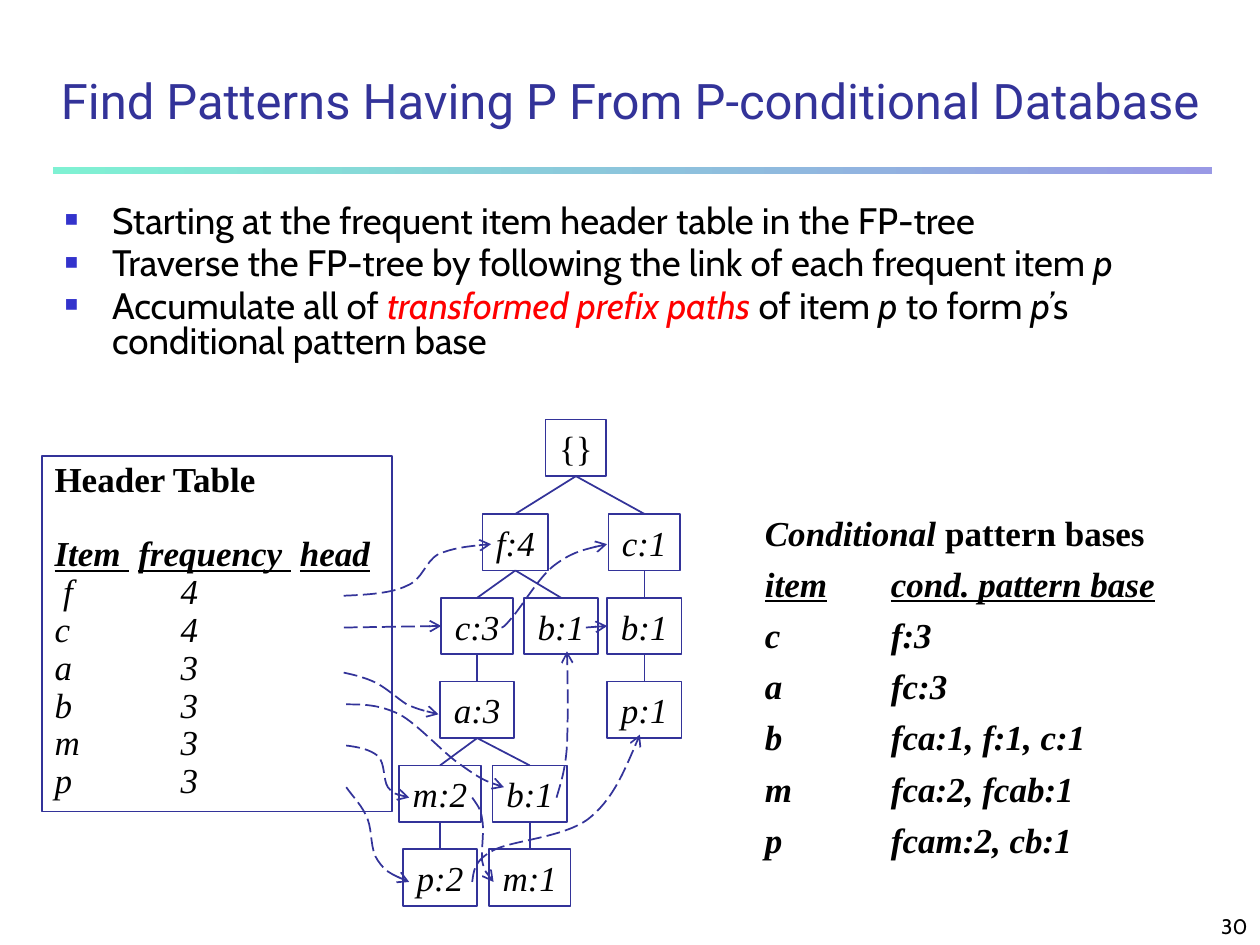
from lxml import etree
from pptx import Presentation
from pptx.dml.color import RGBColor
from pptx.enum.dml import MSO_LINE
from pptx.enum.shapes import MSO_CONNECTOR, MSO_SHAPE
from pptx.enum.text import MSO_ANCHOR, PP_ALIGN
from pptx.oxml.ns import qn
from pptx.util import Cm, Pt

RECT = MSO_SHAPE.RECTANGLE
LINE = MSO_CONNECTOR.STRAIGHT
DASH = MSO_LINE.LONG_DASH
TOP, MID, LOW = MSO_ANCHOR.TOP, MSO_ANCHOR.MIDDLE, MSO_ANCHOR.BOTTOM
LEFT, CENTER, RIGHT = PP_ALIGN.LEFT, PP_ALIGN.CENTER, PP_ALIGN.RIGHT
NAVY, BLACK, RED = "333399", "000000", "FF0000"
SERIF = "Times New Roman"

WIDTHS = {"{": 1.22, "f": 1.32, "c": 1.45, "a": 1.5, "b": 1.5, "p": 1.5, "m": 1.65}
NODES = {
    "root": ("{}", 3.56, 0), "f4": ("f:4", 2.34, 1), "c1": ("c:1", 4.94, 1),
    "c3": ("c:3", 1.57, 2), "b mid": ("b:1", 3.26, 2), "b far": ("b:1", 4.94, 2),
    "a3": ("a:3", 1.57, 3), "p1": ("p:1", 4.94, 3), "m2": ("m:2", 0.82, 4),
    "b low": ("b:1", 2.63, 4), "p2": ("p:2", 0.82, 5), "m1": ("m:1", 2.63, 5),
}
EDGES = [
    ("root", "f4"), ("root", "c1"), ("f4", "c3"), ("f4", "b mid"), ("c1", "b far"),
    ("b far", "p1"), ("c3", "a3"), ("a3", "m2"), ("a3", "b low"), ("m2", "p2"),
    ("b low", "m1"),
]
CURVES = [
    [(0, 1.04), (0.48, 1.02), (0.97, 0.99), (1.27, 0.84), (1.6, 0.71),
     (1.63, 0.36), (1.91, 0.2), (2.21, 0.08), (2.59, 0.03), (2.97, 0)],
    [(3.18, 1.68), (3.2, 1.68), (3.23, 1.68), (3.4, 1.47), (3.58, 1.27),
     (3.94, 0.66), (4.24, 0.43), (4.57, 0.18), (4.93, 0.08), (5.31, 0)],
    [(0, 2.59), (0.23, 2.64), (0.43, 2.69), (0.64, 2.79), (0.86, 2.9),
     (1.07, 3.1), (1.27, 3.23), (1.5, 3.33), (1.7, 3.38), (1.91, 3.43)],
    [(0.05, 3.23), (0.38, 3.23), (0.71, 3.23), (1.12, 3.43), (1.5, 3.63),
     (2.03, 4.24), (2.39, 4.47), (2.74, 4.72), (2.97, 4.83), (3.23, 4.9)],
    [(4.29, 5.11), (4.37, 4.83), (4.47, 4.55), (4.5, 4.06), (4.52, 3.56),
     (4.52, 2.87), (4.5, 2.16)],
    [(0.05, 4.06), (0.3, 4.09), (0.53, 4.14), (0.69, 4.27), (0.84, 4.42),
     (0.79, 4.75), (0.89, 4.9), (1.02, 5.05), (1.17, 5.08), (1.32, 5.11)],
    [(2.59, 5.11), (2.67, 5.23), (2.77, 5.33), (2.79, 5.54), (2.84, 5.74),
     (2.77, 6.17), (2.79, 6.38), (2.84, 6.6), (2.92, 6.71), (3.02, 6.81)],
    [(0.05, 4.9), (0.2, 5.11), (0.38, 5.28), (0.48, 5.54), (0.58, 5.79),
     (0.53, 6.17), (0.69, 6.38), (0.84, 6.6), (1.07, 6.71), (1.32, 6.81)],
    [(2.59, 6.81), (2.62, 6.6), (2.62, 6.38), (3.02, 6.17), (3.4, 5.97),
     (4.42, 5.92), (4.93, 5.54), (5.41, 5.16), (5.69, 4.5), (5.97, 3.84)],
]


def color(code):
    return RGBColor.from_string(code)


def place(box):
    return [Cm(n) for n in box]


def child(node, tag, **attrs):
    return etree.SubElement(node, qn(tag), attrs)


def write(shape, paras, font, size, tint=BLACK, align=LEFT, anchor=TOP,
          space=1.0, gap=0, wrap=True):
    frame = shape.text_frame
    frame.word_wrap = wrap
    frame.vertical_anchor = anchor
    for n, parts in enumerate(paras):
        para = frame.add_paragraph() if n else frame.paragraphs[0]
        para.alignment = align
        para.line_spacing = space
        para.space_before = Pt(gap if n else 0)
        for text, marks in parts:
            run = para.add_run()
            run.text = text
            run.font.name = font
            run.font.size = Pt(size)
            run.font.bold = "b" in marks
            run.font.italic = "i" in marks
            run.font.underline = "u" in marks
            run.font.color.rgb = color(RED if "r" in marks else tint)
    return frame.paragraphs


def label(slide, box, paras, *args, **style):
    return write(slide.shapes.add_textbox(*place(box)), paras, *args, **style)


def outline(shape):
    shape.shadow.inherit = False
    shape.fill.background()
    shape.line.color.rgb = color(NAVY)
    shape.line.width = Pt(1)
    return shape


def frame(slide, box):
    return outline(slide.shapes.add_shape(RECT, *place(box)))


def stroke(slide, *ends):
    line = slide.shapes.add_connector(LINE, *place(ends))
    child(line._element.spPr, "a:effectLst")
    line.line.color.rgb = color(NAVY)
    line.line.width = Pt(1)
    return line


def arrow(line):
    line.dash_style = DASH
    child(line._get_or_add_ln(), "a:tailEnd", type="arrow")


def stop(para, spot):
    tabs = child(para._p.get_or_add_pPr(), "a:tabLst")
    child(tabs, "a:tab", pos=str(Cm(spot)), algn="l")


def header(slide, box):
    x, y, w, h = box
    label(slide, (x, y, w, 1.9),
          [[("Find Patterns Having P From P-conditional Database", "")]],
          "Roboto", 28, NAVY, CENTER, LOW, 0.9)
    bar = slide.shapes.add_shape(RECT, *place((x + 1.06, y + 2.52, 23.38, 0.14)))
    bar.shadow.inherit = False
    bar.line.fill.background()
    bar.fill.gradient()
    bar.fill.gradient_angle = 0
    for point, code in zip(bar.fill.gradient_stops, ("7FF1D3", "9999E5")):
        point.color.rgb = color(code)


def points(slide, box):
    paras = label(slide, box, [
        [("Starting at the frequent item header table in the FP-tree", "")],
        [("Traverse the FP-tree by following the link of each frequent item ", ""),
         ("p", "i")],
        [("Accumulate all of ", ""), ("transformed prefix paths", "ir"),
         (" of item ", ""), ("p ", "i"), ("to form ", ""), ("p’", "i"),
         ("s conditional pattern base", "")],
    ], "Cabin", 21, space=0.8, gap=4.2)
    for para in paras:
        props = para._p.get_or_add_pPr()
        props.set("marL", str(Cm(0.95)))
        props.set("indent", str(Cm(-0.95)))
        child(child(props, "a:buClr"), "a:srgbClr", val="3333CC")
        child(props, "a:buSzPct", val="60000")
        child(props, "a:buFont", typeface=SERIF)
        child(props, "a:buChar", char="■")


def bases(slide, box):
    rows = [("c", "f:3"), ("a", "fc:3"), ("b", "fca:1, f:1, c:1"),
            ("m", "fca:2, fcab:1"), ("p", "fcam:2, cb:1")]
    paras = label(slide, box, [
        [("Conditional ", "bi"), ("pattern bases", "b")],
        [("item\tcond. pattern base", "biu")],
        *[[("\t".join(row), "bi")] for row in rows],
    ], SERIF, 20, space=0.8, gap=10)
    paras[0].line_spacing = 1.0
    for para in paras[1:]:
        stop(para, 2.54)


def items(slide, box):
    counts = zip((" f", *"cabmp"), (4, 4, 3, 3, 3, 3))
    heads = [(word, "biu") for word in ("Item", " ", "frequency", " ", "head")]
    paras = write(frame(slide, box), [
        [("Header Table", "b")], heads,
        *[[(f"{name}\t{count}", "i")] for name, count in counts],
    ], SERIF, 20, space=0.9)
    paras[1].space_before = Pt(21)
    for run in paras[1].runs[1::2]:
        run._r.get_or_add_rPr().set("spc", "500")
    for para in paras[2:]:
        stop(para, 2.54)


def tree(slide, box):
    x, y, w, h = box
    nodes = {}
    for key, (text, mid, row) in NODES.items():
        wide = WIDTHS[text[0]]
        top = y + 0.21 + 1.69 * row if row else y
        nodes[key] = frame(slide, (x + mid - wide / 2, top, wide, 1.14))
        write(nodes[key], [[(text, "i" if row else "")]], SERIF, 20,
              align=CENTER, anchor=MID, wrap=False)
    for start, end in EDGES:
        line = stroke(slide, 0, 0, 1, 1)
        line.begin_connect(nodes[start], 2)
        line.end_connect(nodes[end], 0)
    return nodes


def bend(shape):
    track = shape._element.find(".//" + qn("a:path"))
    legs = track.findall(qn("a:lnTo"))
    for n in range(0, len(legs), 3):
        cubic = child(track, "a:cubicBezTo")
        for leg in legs[n:n + 3]:
            cubic.append(leg[0])
            track.remove(leg)


def links(slide, box, nodes):
    x, y, w, h = box
    for curve in CURVES:
        spots = [(Cm(x + a), Cm(y + b)) for a, b in curve]
        pen = slide.shapes.build_freeform(*spots[0])
        pen.add_line_segments(spots[1:], close=False)
        shape = outline(pen.convert_to_shape())
        bend(shape)
        arrow(shape.line)
    for start, end, key in ((0, 1.91, "c3"), (4.88, 5.31, "b far")):
        line = stroke(slide, x + start, y + 1.68, x + end, y + 1.68)
        line.end_connect(nodes[key], 1)
        arrow(line.line)


def main():
    deck = Presentation()
    deck.slide_width, deck.slide_height = Cm(25.4), Cm(19.05)
    slide = deck.slides.add_slide(deck.slide_layouts[6])
    header(slide, (0, 0.85, 25.4, 2.67))
    points(slide, (1.06, 4.03, 23.28, 4.23))
    bases(slide, (15.17, 10.18, 9.25, 7.72))
    nodes = tree(slide, (8.05, 8.46, 5.7, 9.81))
    items(slide, (0.85, 9.19, 7.05, 7.17))
    links(slide, (6.93, 10.97, 5.97, 6.81), nodes)
    label(slide, (20.12, 17.98, 5.28, 1.07), [[("30", "")]], "Cabin", 12,
          align=RIGHT, anchor=LOW)
    deck.save("out.pptx")


if __name__ == "__main__":
    main()
